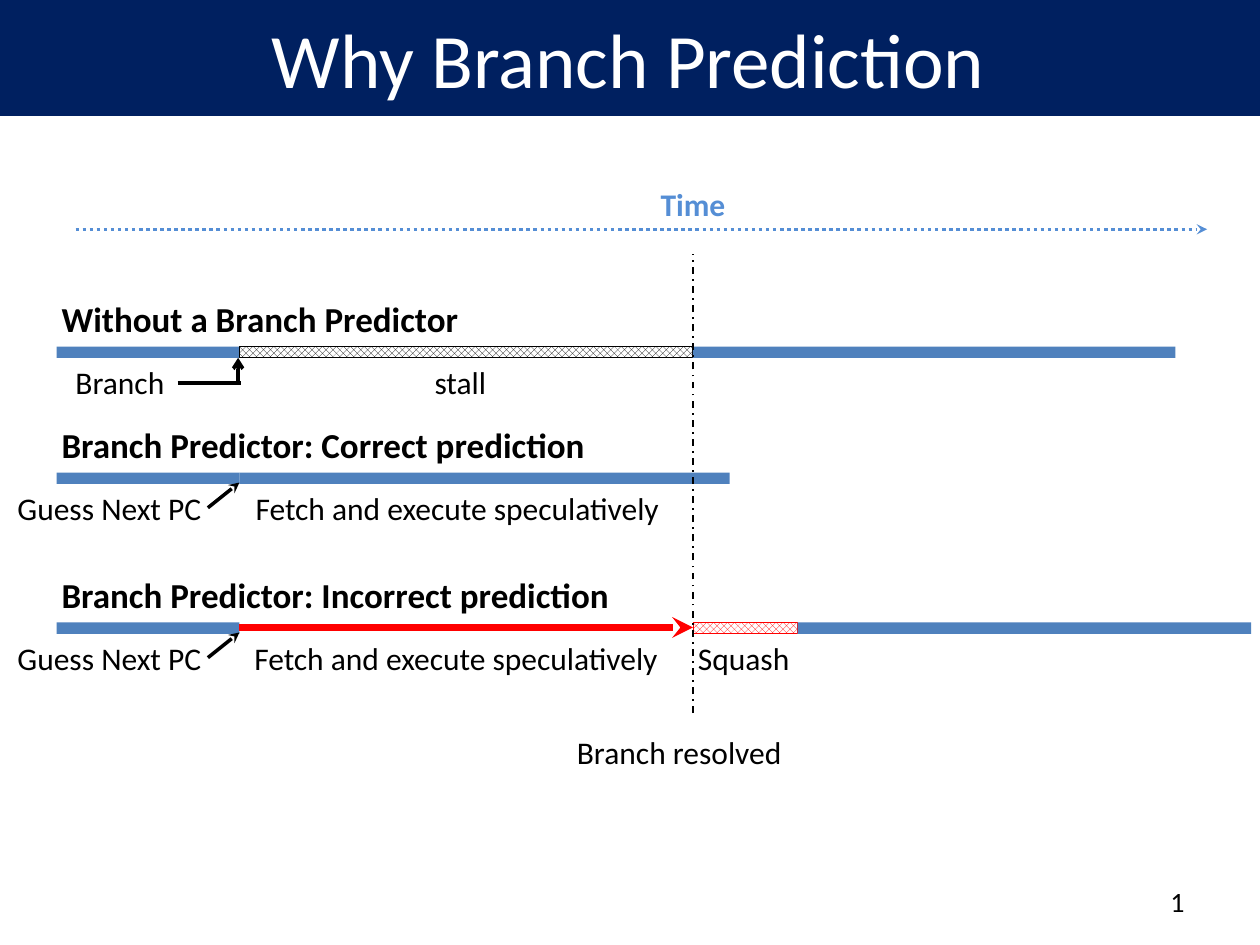
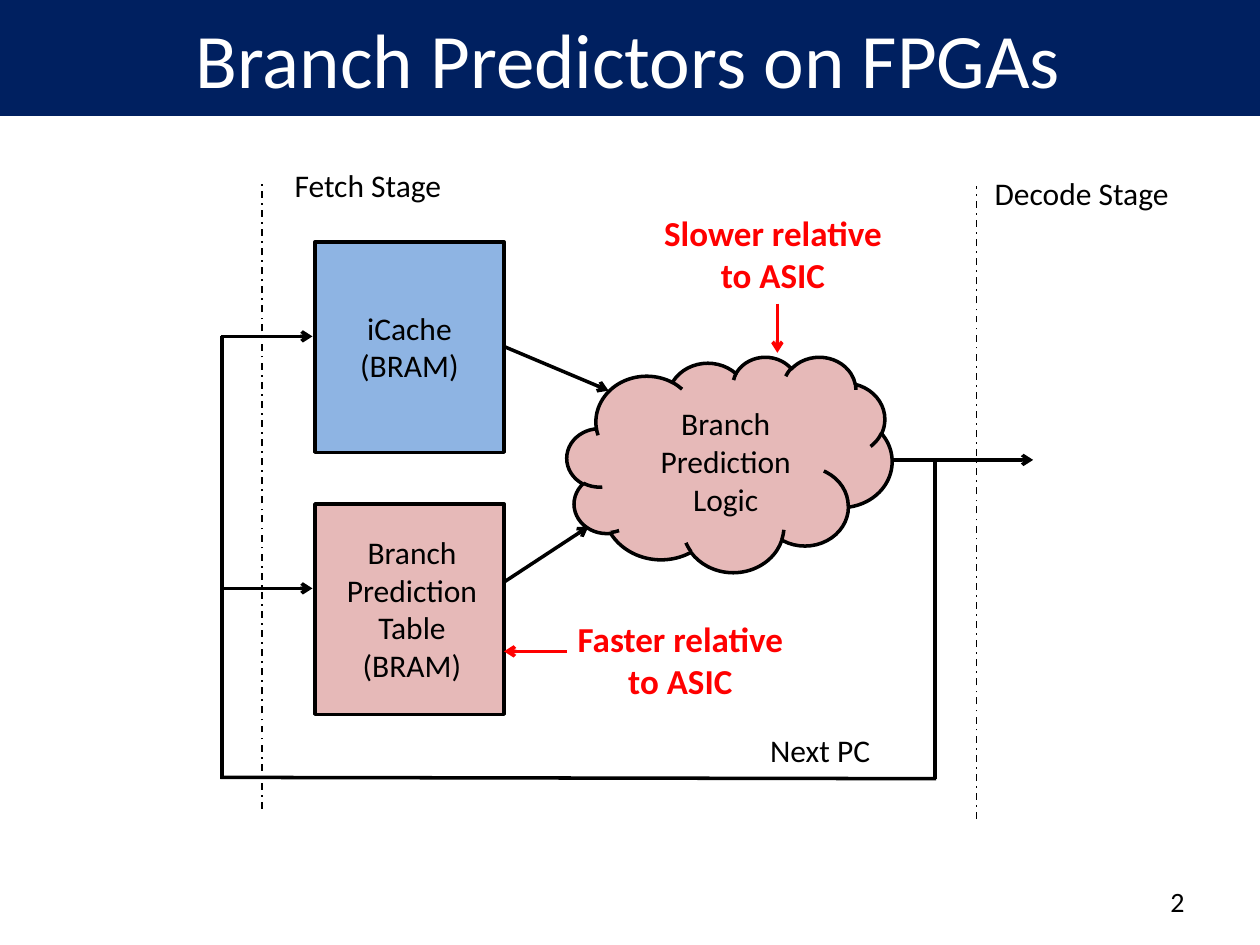
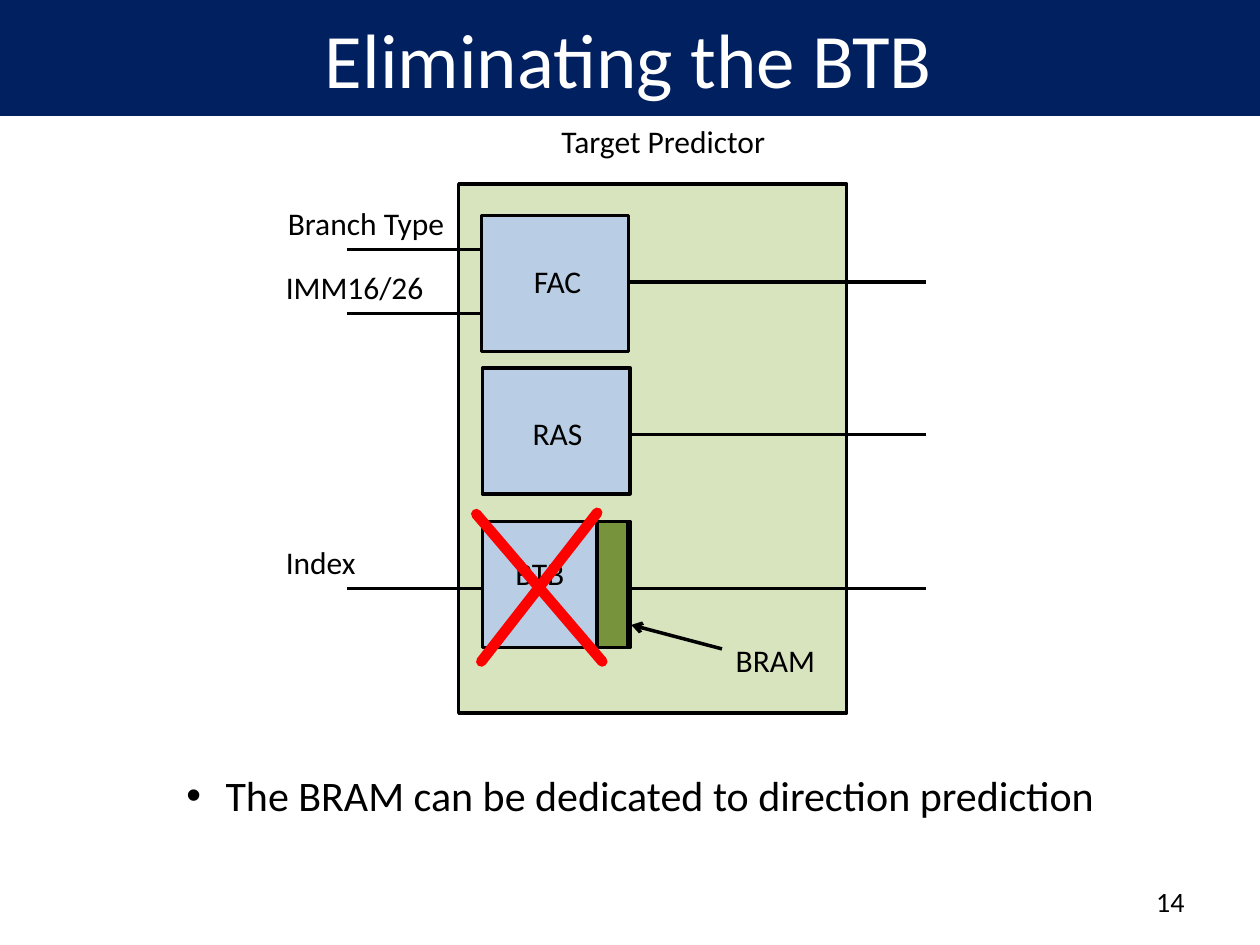
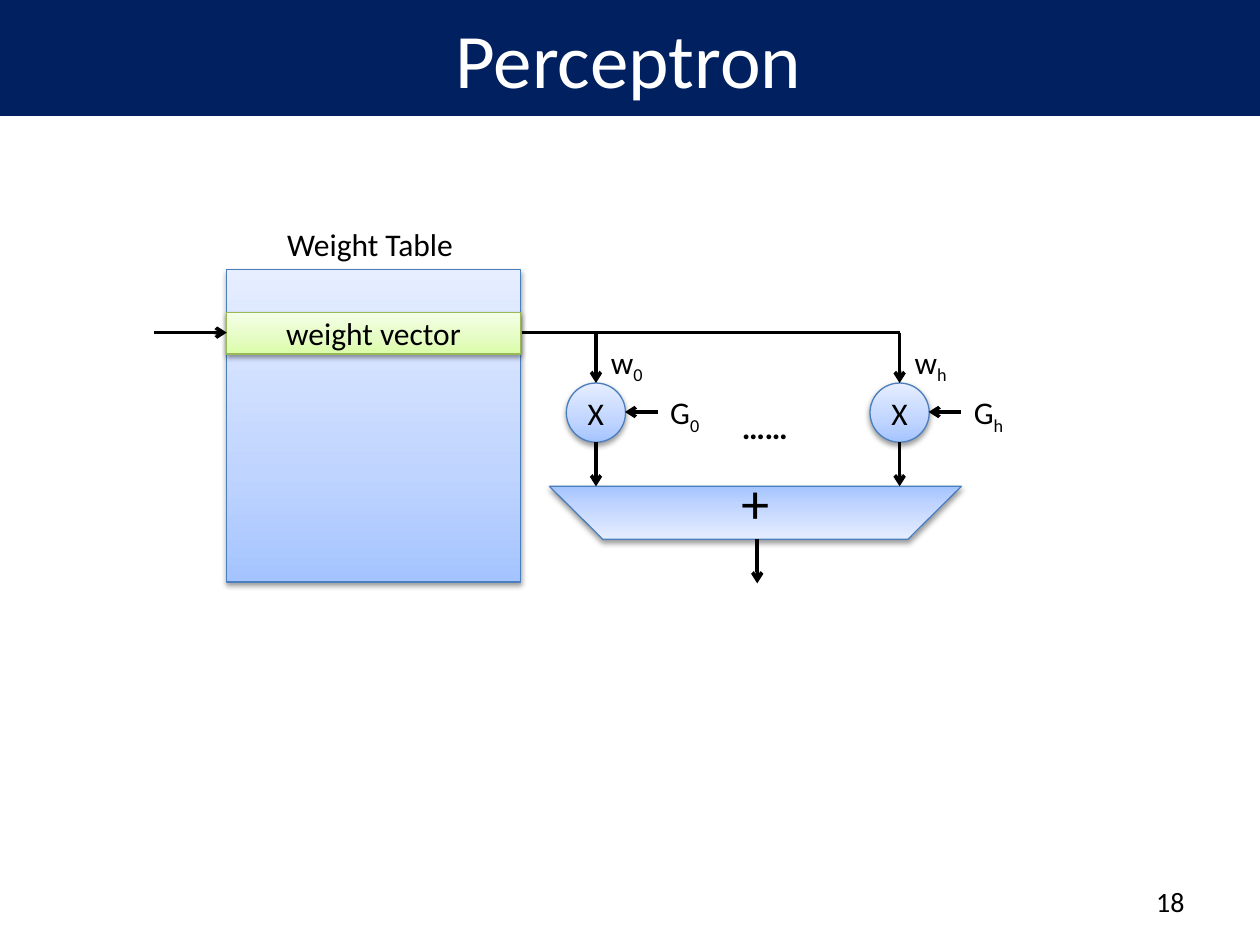
"""Build four slides on branch prediction for soft processors."""
from lxml import etree
from pptx import Presentation
from pptx.dml.color import RGBColor
from pptx.enum.dml import MSO_LINE, MSO_PATTERN
from pptx.enum.shapes import MSO_CONNECTOR, MSO_SHAPE
from pptx.enum.text import MSO_ANCHOR, MSO_AUTO_SIZE, PP_ALIGN
from pptx.oxml.ns import qn
from pptx.util import Inches, Pt

RECT, OVAL, CLOUD, TRAPEZOID = (
    MSO_SHAPE.RECTANGLE, MSO_SHAPE.OVAL, MSO_SHAPE.CLOUD, MSO_SHAPE.TRAPEZOID)
LEFT, CENTER, RIGHT = PP_ALIGN.LEFT, PP_ALIGN.CENTER, PP_ALIGN.RIGHT
TOP, MIDDLE = MSO_ANCHOR.TOP, MSO_ANCHOR.MIDDLE
STRAIGHT = MSO_CONNECTOR.STRAIGHT
GROW, FIXED = MSO_AUTO_SIZE.SHAPE_TO_FIT_TEXT, MSO_AUTO_SIZE.NONE
DOTS, DASH_DOT = MSO_LINE.ROUND_DOT, MSO_LINE.DASH_DOT
DIAMONDS = MSO_PATTERN.OUTLINED_DIAMOND

BLACK, WHITE, RED, NAVY, SKY = "000000", "FFFFFF", "FF0000", "002060", "558ED5"
BLUES = ((0, "A4C4FF"), (35, "BFD4FF"), (100, "E6EEFF"))
LIMES = ((0, "DAFDA7"), (35, "E4FCC2"), (100, "F5FFE7"))

THEME = {
    "font": "Calibri",
    "text": {
        "title": {"size": 44, "color": WHITE, "align": CENTER, "anchor": MIDDLE, "fit": FIXED},
        "number": {"size": 16, "align": RIGHT, "anchor": MIDDLE, "fit": FIXED},
        "bullet": {"size": 24, "fit": FIXED},
        "label": {},
        "center": {"align": CENTER},
        "heading": {"size": 20, "bold": True, "wrap": False},
        "alert": {"size": 20, "bold": True, "color": RED, "align": CENTER},
        "axis": {"bold": True, "color": SKY, "align": CENTER},
        "inside": {"align": CENTER, "anchor": MIDDLE, "fit": FIXED},
        "sum": {"size": 32, "align": CENTER, "anchor": MIDDLE, "fit": FIXED},
        "dots": {"size": 32, "bold": True, "align": CENTER, "baseline": -25},
    },
    "fill": {
        "bar": {"color": "4F81BD"},
        "stall": {"pattern": BLACK, "line": BLACK, "width": 0.5},
        "squash": {"pattern": RED, "line": RED, "width": 0.5},
        "cache": {"color": "8EB4E3", "line": BLACK, "width": 2},
        "predictor": {"color": "E6B9B8", "line": BLACK, "width": 2},
        "target": {"color": "D7E4BD", "line": BLACK, "width": 2},
        "unit": {"color": "B9CDE5", "line": BLACK, "width": 2},
        "bram": {"color": "77933C", "line": BLACK, "width": 2},
        "glossy blue": {"stops": BLUES, "line": "4B7EBC", "width": 0.75},
        "glossy lime": {"stops": LIMES, "line": "98B955", "width": 0.75},
    },
    "line": {
        "wire": {},
        "arrow": {"tail": "arrow"},
        "pointer": {"tail": "stealth"},
        "alert": {"color": RED, "tail": "arrow"},
        "wrong path": {"color": RED, "width": 4, "tail": "stealth"},
        "axis": {"color": SKY, "dash": DOTS, "tail": "stealth"},
        "boundary": {"width": 1, "dash": DASH_DOT},
        "cross": {"color": RED, "width": 6, "cap": "rnd"},
    },
}
TEXT_DEFAULTS = {"size": 18, "color": BLACK, "bold": False, "align": LEFT,
                 "anchor": TOP, "fit": GROW, "wrap": True, "baseline": 0}
LINE_DEFAULTS = {"color": BLACK, "width": 2, "dash": None, "tail": None, "cap": None}

TITLE_AT = (-0.02, 0, 10.02, 0.92)
NUMBER_AT = (7.17, 6.95, 2.33, 0.4)
BULLET_AT = (1.38, 6.06, 7.75, 0.5)
BULLET_INDENT = 0.31

START, BRANCH, RESOLVED = 0.45, 1.9, 5.5
BAR_HEIGHT = 0.09
TIMELINES = [
    (2.75, "Without a Branch Predictor", 3.38,
     [("bar", START, BRANCH), ("stall", BRANCH, RESOLVED), ("bar", RESOLVED, 9.33)],
     [("Branch", 0.5, 0.95), ("stall", 3.35, 0.65)]),
    (3.75, "Branch Predictor: Correct prediction", 4.45,
     [("bar", START, BRANCH), ("bar", BRANCH, 5.79)],
     [("Guess Next PC", 0.04, 1.82), ("Fetch and execute speculatively", 1.93, 3.67)]),
    (4.94, "Branch Predictor: Incorrect prediction", 4.65,
     [("bar", START, BRANCH), ("squash", RESOLVED, 6.33), ("bar", 6.33, 9.93)],
     [("Guess Next PC", 0.04, 1.82), ("Fetch and execute speculatively", 1.92, 3.67),
      ("Squash", 5.44, 0.95)]),
]
TIMELINE_SLIDE = {
    "title": "Why Branch Prediction", "number": 1,
    "shapes": [(RECT, fill, (x1, y, x2 - x1, BAR_HEIGHT))
               for y, _, _, bars, _ in TIMELINES for fill, x1, x2 in bars],
    "texts": [(heading, "heading", (0.39, y - 0.44, width, 0.44))
              for y, heading, width, _, _ in TIMELINES]
             + [(label, "label", (x, y + 0.08, width, 0.4))
                for y, _, _, _, labels in TIMELINES for label, x, width in labels]
             + [("Branch resolved", "label", (4.48, 5.77, 2.25, 0.4)),
                ("Time", "axis", (4.98, 1.42, 1.04, 0.4))],
    "lines": [("pointer", (1.65, y + 0.28), (BRANCH, y + 0.08)) for y in (3.75, 4.94)]
             + [("wrong path", (BRANCH, 4.98), (RESOLVED, 4.98)),
                ("boundary", (RESOLVED, 5.66), (RESOLVED, 2.02)),
                ("wire", (1.41, 3.04), (1.91, 3.04)),
                ("arrow", (1.89, 3.04), (1.89, 2.84)),
                ("axis", (0.6, 1.82), (9.58, 1.82))],
}

FPGA_SLIDE = {
    "title": "Branch Predictors on FPGAs", "number": 2,
    "shapes": [(RECT, "cache", (2.5, 1.92, 1.5, 1.67)),
               (RECT, "predictor", (2.5, 4, 1.5, 1.67)),
               (CLOUD, "predictor", (4.5, 2.83, 2.58, 1.71))],
    "texts": [("iCache\n(BRAM)", "center", (2.5, 2.4, 1.5, 0.71)),
              ("Branch Prediction Table\n(BRAM)", "center", (2.52, 4.18, 1.5, 1.31)),
              ("Branch Prediction Logic", "center", (5.01, 3.16, 1.5, 1.01)),
              ("Fetch Stage", "center", (2.17, 1.27, 1.5, 0.4)),
              ("Decode Stage", "center", (7.75, 1.33, 1.67, 0.4)),
              ("Next PC", "center", (5.76, 5.75, 1.5, 0.4)),
              ("Faster relative to ASIC", "alert", (4.46, 4.85, 1.88, 0.77)),
              ("Slower relative to ASIC", "alert", (5.1, 1.63, 2.07, 0.77))],
    "lines": [("boundary", (2.08, 6.42), (2.08, 1.46)),
              ("boundary", (7.75, 6.5), (7.75, 1.48)),
              ("wire", (7.42, 6.18), (7.42, 3.65)),
              ("wire", (7.43, 6.18), (1.75, 6.17)),
              ("wire", (1.76, 6.18), (1.76, 2.67)),
              ("alert", (4.5, 5.17), (4, 5.17)),
              ("alert", (6.17, 2.41), (6.17, 2.8)),
              ("arrow", (4, 2.75), (4.83, 3.1)),
              ("arrow", (4, 4.62), (4.67, 4.18)),
              ("arrow", (1.75, 2.67), (2.48, 2.67)),
              ("arrow", (1.75, 4.67), (2.48, 4.67)),
              ("arrow", (7.08, 3.65), (8.2, 3.65))],
}

BTB_SLIDE = {
    "title": "Eliminating the BTB", "number": 14,
    "bullet": "The BRAM can be dedicated to direction prediction",
    "shapes": [(RECT, "target", (3.64, 1.46, 3.08, 4.2)),
               (RECT, "unit", (3.82, 1.71, 1.17, 1.08)),
               (RECT, "unit", (3.83, 2.92, 1.17, 1)),
               (RECT, "unit", (3.83, 4.14, 1.17, 1)),
               (RECT, "bram", (4.74, 4.14, 0.24, 1))],
    "texts": [(name, "center", (x, y, 1.17, 0.4))
              for name, x, y in (("FAC", 3.84, 2.03), ("RAS", 3.84, 3.24), ("BTB", 3.7, 4.35))]
             + [(name, style, (2.17, y, 1.47, 0.4))
                for name, style, y in (("Branch Type", "center", 1.57),
                                       ("IMM16/26", "label", 2.08), ("Index", "label", 4.26))]
             + [("Target Predictor", "center", (4.1, 0.92, 2.33, 0.4)),
                ("BRAM", "label", (5.74, 5.04, 0.98, 0.4))],
    "lines": [("wire", (3.83, y), (2.75, y)) for y in (1.98, 2.49, 4.67)]
             + [("wire", (7.35, y), (4.99, y)) for y in (2.24, 3.45, 4.67)]
             + [("cross", (3.78, 4.08), (4.78, 5.25)),
                ("cross", (4.74, 4.07), (3.82, 5.25)),
                ("arrow", (5.73, 5.15), (5.01, 4.96))],
}

TAPS = [(4.73, "0"), (7.14, "h")]
BUS_Y, MULTIPLY_Y, ADDER_Y, DIAMETER = 2.64, 3.04, 3.86, 0.47
PERCEPTRON_SLIDE = {
    "title": "Perceptron", "number": 18,
    "shapes": [(RECT, "glossy blue", (1.8, 2.14, 2.33, 2.48)),
               (RECT, "glossy lime", (1.8, 2.48, 2.33, 0.33), "weight vector", "inside")]
              + [(OVAL, "glossy blue", (x - DIAMETER / 2, MULTIPLY_Y, DIAMETER, DIAMETER),
                  "X", "inside") for x, _ in TAPS]
              + [(TRAPEZOID, "glossy blue", (4.36, ADDER_Y, 3.27, 0.42), "+", "sum")],
    "texts": [(f"w_{index}", "label", (x + 0.02, 2.67, 0.55, 0.4)) for x, index in TAPS]
             + [(f"G_{index}", "label", (x + 0.49, 3.07, 0.55, 0.4)) for x, index in TAPS]
             + [("Weight Table", "label", (2.18, 1.74, 1.58, 0.4)),
                ("……", "dots", (5.52, 2.88, 1.1, 0.46))],
    "lines": [line for x, _ in TAPS for line in (
                  ("arrow", (x, BUS_Y), (x, MULTIPLY_Y)),
                  ("arrow", (x + 0.49, 3.27), (x + 0.23, 3.27)),
                  ("arrow", (x, MULTIPLY_Y + DIAMETER), (x, ADDER_Y)))]
             + [("arrow", (1.22, BUS_Y), (1.8, BUS_Y)),
                ("wire", (4.14, BUS_Y), (7.14, BUS_Y)),
                ("arrow", (6.01, 4.28), (6.01, 4.63))],
}
SLIDES = [TIMELINE_SLIDE, FPGA_SLIDE, BTB_SLIDE, PERCEPTRON_SLIDE]


def rgb(color):
    return RGBColor.from_string(color)


def add_xml(parent, tag, **values):
    child = etree.SubElement(parent, qn(tag))
    for name, value in values.items():
        child.set(name, str(value))
    return child


def place(shape, at):
    for name, value in zip(("left", "top", "width", "height"), at):
        setattr(shape, name, Inches(value))


def write(shape, text, style_name):
    style = TEXT_DEFAULTS | THEME["text"][style_name]
    frame = shape.text_frame
    frame.text = ""
    settings = {"word_wrap": style["wrap"], "vertical_anchor": style["anchor"],
                "auto_size": style["fit"]}
    for name, value in settings.items():
        setattr(frame, name, value)
    for row, content in enumerate(text.split("\n")):
        para = frame.add_paragraph() if row else frame.paragraphs[0]
        para.alignment = style["align"]
        para.space_before = Pt(0)
        for order, part in enumerate(content.split("_")):
            span = para.add_run()
            span.text = part
            formats = {"name": THEME["font"], "size": Pt(style["size"]), "bold": style["bold"]}
            for name, value in formats.items():
                setattr(span.font, name, value)
            span.font.color.rgb = rgb(style["color"])
            baseline = -25 if order else style["baseline"]
            if baseline:
                span.font._element.set("baseline", str(baseline * 1000))


def paint_gradient(shape, stops):
    shape.fill.gradient()
    shape.fill.gradient_angle = 90
    properties = shape._element.spPr
    stop_list = properties.find(".//" + qn("a:gsLst"))
    stop_list.clear()
    for position, color in stops:
        stop = add_xml(stop_list, "a:gs", pos=position * 1000)
        add_xml(stop, "a:srgbClr", val=color)
    shadow = add_xml(properties.find(qn("a:effectLst")), "a:outerShdw", blurRad=Pt(3.1),
                     dist=Pt(1.6), dir=5400000, rotWithShape=0)
    add_xml(add_xml(shadow, "a:srgbClr", val=BLACK), "a:alpha", val=38000)


def draw_shape(page, kind, fill_name, at, text=None, style_name=None):
    shape = page.shapes.add_shape(kind, *map(Inches, at))
    shape.shadow.inherit = False
    style = THEME["fill"][fill_name]
    if kind == TRAPEZOID:
        shape.rotation = 180
        shape.adjustments[0] = 1.01
    if "stops" in style:
        paint_gradient(shape, style["stops"])
    elif "pattern" in style:
        shape.fill.patterned()
        shape.fill.pattern = DIAMONDS
        shape.fill.fore_color.rgb = rgb(style["pattern"])
        shape.fill.back_color.rgb = rgb(WHITE)
    else:
        shape.fill.solid()
        shape.fill.fore_color.rgb = rgb(style["color"])
    if "line" in style:
        shape.line.color.rgb = rgb(style["line"])
        shape.line.width = Pt(style["width"])
    else:
        shape.line.fill.background()
    if text:
        write(shape, text, style_name)


def draw_text(page, text, style_name, at):
    write(page.shapes.add_textbox(*map(Inches, at)), text, style_name)


def draw_line(page, line_name, start, end):
    style = LINE_DEFAULTS | THEME["line"][line_name]
    connector = page.shapes.add_connector(STRAIGHT, *map(Inches, start + end))
    connector.line.color.rgb = rgb(style["color"])
    connector.line.width = Pt(style["width"])
    if style["dash"]:
        connector.line.dash_style = style["dash"]
    properties = connector._element.spPr
    outline = properties.find(qn("a:ln"))
    if style["cap"]:
        outline.set("cap", style["cap"])
    if style["tail"]:
        add_xml(outline, "a:tailEnd", type=style["tail"])
    add_xml(properties, "a:effectLst")


def add_bullet(page, text):
    body = page.placeholders[1]
    place(body, BULLET_AT)
    write(body, text, "bullet")
    settings = body.text_frame.paragraphs[0]._p.get_or_add_pPr()
    settings.set("marL", str(Inches(BULLET_INDENT)))
    settings.set("indent", str(-Inches(BULLET_INDENT)))


def build_slide(deck, content):
    layout = deck.slide_layouts[1 if "bullet" in content else 5]
    page = deck.slides.add_slide(layout)
    title = page.shapes.title
    place(title, TITLE_AT)
    title.fill.solid()
    title.fill.fore_color.rgb = rgb(NAVY)
    write(title, content["title"], "title")
    if "bullet" in content:
        add_bullet(page, content["bullet"])
    for part, draw in (("shapes", draw_shape), ("texts", draw_text), ("lines", draw_line)):
        for item in content[part]:
            draw(page, *item)
    draw_text(page, str(content["number"]), "number", NUMBER_AT)


def main():
    deck = Presentation()
    deck.slide_width, deck.slide_height = Inches(10), Inches(7.5)
    for content in SLIDES:
        build_slide(deck, content)
    deck.save("out.pptx")


if __name__ == "__main__":
    main()
